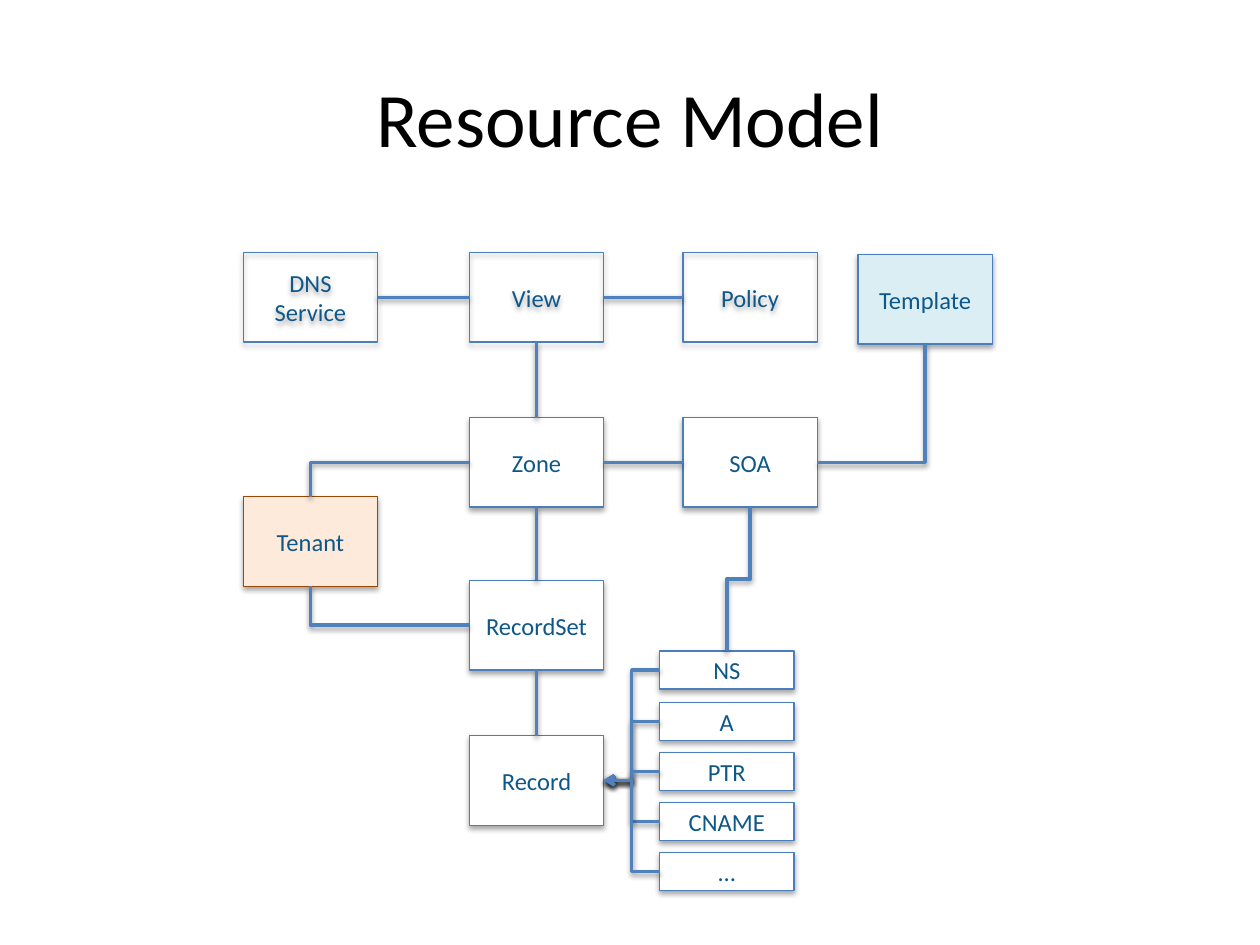
import pptx
import pptx.util
import pptx.dml.color
import pptx.enum.shapes
import pptx.enum.text
import pptx.oxml
import pptx.oxml.ns

Pt = pptx.util.Pt
KIND = pptx.enum.shapes.MSO_CONNECTOR
TOP, LEFT, BOTTOM, RIGHT = range(4)  # connection sites of a rectangle
BOX_SIZE = (76.7, 51.2)
RECORD_SIZE = (76.7, 21.7)

# name: left, top, fill, line
BOXES = {
    "View": (268.3, 144.3, None, "4B7EBC"),
    "Zone": (268.3, 238.6, "FFFFFF", "4B7EBC"),
    "RecordSet": (268.3, 331.7, "FFFFFF", "4B7EBC"),
    "Record": (268.3, 420.4, "FFFFFF", "4B7EBC"),
    "Policy": (390.3, 144.3, None, "4B7EBC"),
    "SOA": (390.3, 238.6, "FFFFFF", "4B7EBC"),
    "Tenant": (139.1, 283.8, "FDEADA", "984807"),
    "DNS\nService": (139.1, 144.3, None, "4B7EBC"),
    "Template": (490.3, 145.5, "DBEEF4", "4B7EBC"),
}
# name: top
RECORD_TYPES = {"NS": 372, "A": 401.5, "PTR": 430.1, "CNAME": 458.7, "…": 487.3}
RECORD_LEFT = 377

STRAIGHT_LINKS = [
    ("DNS\nService", RIGHT, "View", LEFT),
    ("View", RIGHT, "Policy", LEFT),
    ("View", BOTTOM, "Zone", TOP),
    ("Zone", BOTTOM, "RecordSet", TOP),
    ("RecordSet", BOTTOM, "Record", TOP),
    ("Zone", RIGHT, "SOA", LEFT),
]
CORNER_LINKS = [
    ("Zone", LEFT, "Tenant", TOP),
    ("RecordSet", LEFT, "Tenant", BOTTOM),
    ("SOA", RIGHT, "Template", BOTTOM),
]


def colour(value):
    return pptx.dml.color.RGBColor.from_string(value)


def set_values(target, values):
    for name, value in values.items():
        setattr(target, name, value)


def add_shadow(shape, distance, opacity):
    effect = pptx.oxml.parse_xml(
        f'<a:effectLst {pptx.oxml.ns.nsdecls("a")}>'
        f'<a:outerShdw blurRad="{Pt(3.15)}" dist="{Pt(distance)}" dir="5400000" rotWithShape="0">'
        f'<a:srgbClr val="000000"><a:alpha val="{opacity * 1000}"/></a:srgbClr>'
        "</a:outerShdw></a:effectLst>")
    shape._element.spPr.append(effect)


def write_text(frame, text, size, text_colour):
    set_values(frame, {"word_wrap": True,
                       "vertical_anchor": pptx.enum.text.MSO_ANCHOR.MIDDLE})
    frame.text = text
    for para in frame.paragraphs:
        para.alignment = pptx.enum.text.PP_ALIGN.CENTER
        for span in para.runs:
            set_values(span.font, {"name": "Calibri", "size": Pt(size)})
            span.font.color.rgb = colour(text_colour)


def add_title(page, text):
    title = page.shapes.title
    set_values(title, {"left": Pt(36), "top": Pt(21.6),
                       "width": Pt(648), "height": Pt(90)})
    write_text(title.text_frame, text, 44, "000000")


def add_box(page, text, left, top, size, fill, line):
    box = page.shapes.add_shape(pptx.enum.shapes.MSO_SHAPE.RECTANGLE,
                                Pt(left), Pt(top), Pt(size[0]), Pt(size[1]))
    if fill:
        box.fill.solid()
        box.fill.fore_color.rgb = colour(fill)
    else:
        box.fill.background()
    box.line.color.rgb = colour(line)
    box.line.width = Pt(0.75)
    add_shadow(box, 1.8, 35)
    write_text(box.text_frame, text, 14, "0E5789")
    return box


def add_link(page, start, start_site, end, end_site, kind=KIND.STRAIGHT, arrow=False):
    link = page.shapes.add_connector(kind, 0, 0, 0, 0)
    link.begin_connect(start, start_site)
    link.end_connect(end, end_site)
    link.line.color.rgb = colour("4F81BD")
    link.line.width = Pt(2)
    if arrow:
        link.line._get_or_add_ln().append(pptx.oxml.parse_xml(
            f'<a:tailEnd {pptx.oxml.ns.nsdecls("a")} type="arrow"/>'))
    add_shadow(link, 1.6, 38)
    return link


def add_corner(page, *ends):
    """One horizontal leg, then one vertical leg."""
    link = add_link(page, *ends, kind=KIND.ELBOW)
    link._element.spPr.find(pptx.oxml.ns.qn("a:prstGeom")).set("prst", "bentConnector2")


def add_drop(page, upper, lower):
    """Elbow that leaves downwards and steps left: a frame turned by 90 degrees."""
    link = add_link(page, upper, BOTTOM, lower, TOP, kind=KIND.ELBOW)
    across, down = link.width, link.height
    shift = (across - down) // 2
    set_values(link, {"left": link.left + shift, "top": link.top - shift,
                      "width": down, "height": across})
    frame = link._element.spPr.find(pptx.oxml.ns.qn("a:xfrm"))
    frame.set("rot", "5400000")
    frame.set("flipH", "0")


def main():
    deck = pptx.Presentation()
    set_values(deck, {"slide_width": Pt(720), "slide_height": Pt(540)})
    page = deck.slides.add_slide(deck.slide_layouts[5])
    add_title(page, "Resource Model")

    # Resources and record types
    boxes = {name: add_box(page, name, left, top, BOX_SIZE, fill, line)
             for name, (left, top, fill, line) in BOXES.items()}
    records = [add_box(page, name, RECORD_LEFT, top, RECORD_SIZE, "FFFFFF", "4B7EBC")
               for name, top in RECORD_TYPES.items()]

    # Relations between resources
    for start, start_site, end, end_site in STRAIGHT_LINKS:
        add_link(page, boxes[start], start_site, boxes[end], end_site)
    for start, start_site, end, end_site in CORNER_LINKS:
        add_corner(page, boxes[start], start_site, boxes[end], end_site)
    add_drop(page, boxes["SOA"], records[0])

    # Record types point to the record
    for record in records:
        add_link(page, record, LEFT, boxes["Record"], RIGHT, KIND.ELBOW, arrow=True)

    deck.save("out.pptx")


main()
